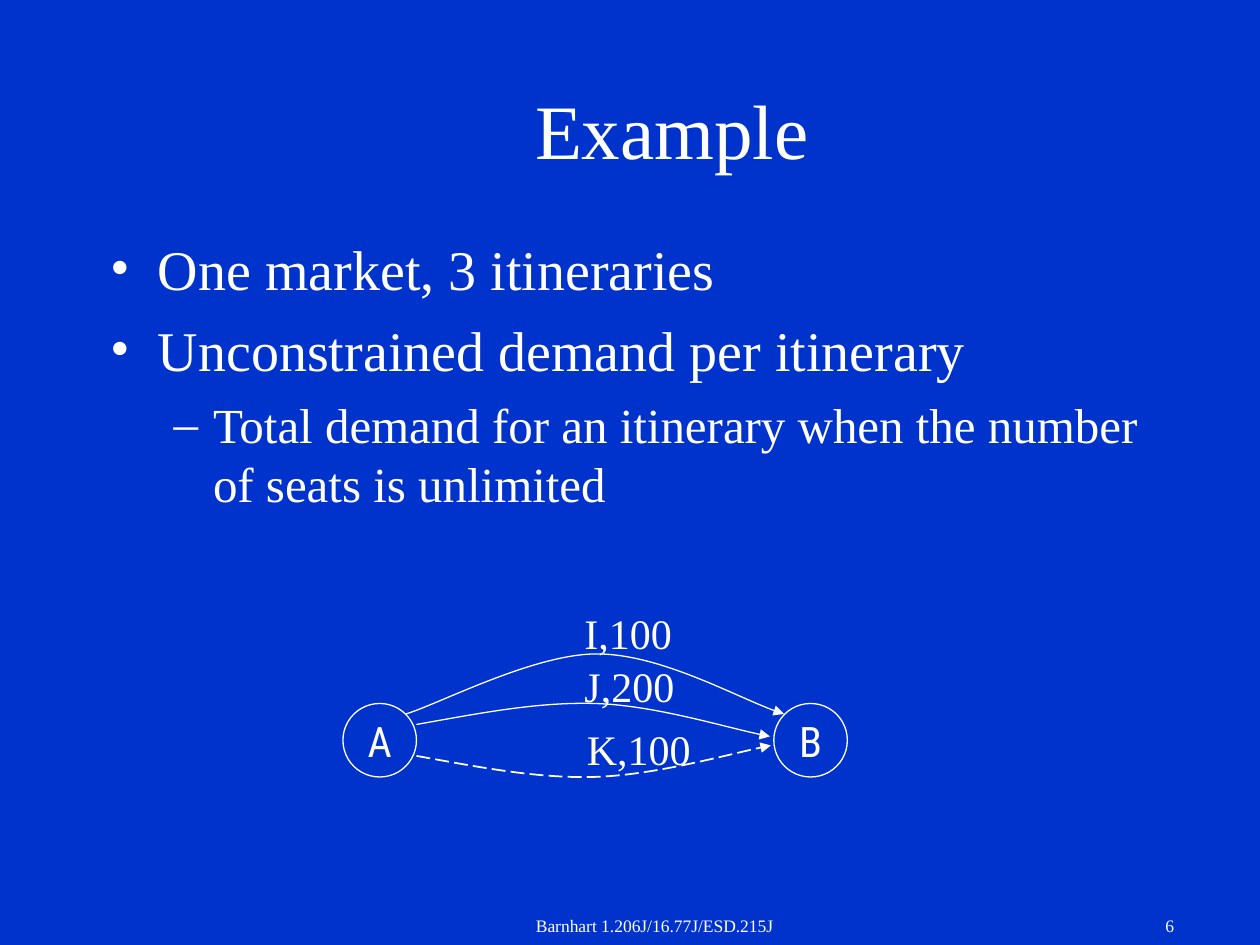
"""Build a slide showing one market served by three itineraries."""
from lxml.etree import SubElement
from pptx import Presentation
from pptx.dml.color import RGBColor
from pptx.enum.dml import MSO_LINE_DASH_STYLE as Dash
from pptx.enum.shapes import MSO_SHAPE as Shape
from pptx.enum.text import MSO_ANCHOR as Anchor, MSO_AUTO_SIZE as AutoSize, PP_ALIGN as Align
from pptx.oxml.ns import qn
from pptx.util import Pt

WHITE = "FFFFFF"
SERIF = "Times New Roman"


def color(value):
    return RGBColor.from_string(value)


def write(para, text, size, align=Align.LEFT, face=SERIF):
    para.text = text
    para.alignment = align
    para.font.size = Pt(size)
    para.font.name = face
    para.font.color.rgb = color(WHITE)


deck = Presentation()
deck.slide_width, deck.slide_height = Pt(720), Pt(540)
page = deck.slides.add_slide(deck.slide_layouts[6])
page.background.fill.solid()
page.background.fill.fore_color.rgb = color("0033CC")

for name, left in (("A", 196), ("B", 442.2)):
    city = page.shapes.add_shape(Shape.OVAL, Pt(left), Pt(402), Pt(42), Pt(42))
    city.shadow.inherit = False
    city.fill.background()
    city.line.color.rgb = color(WHITE)
    city.line.width = Pt(0.75)
    city.text_frame.word_wrap = False
    city.text_frame.vertical_anchor = Anchor.MIDDLE
    write(city.text_frame.paragraphs[0], name, 24, Align.CENTER, "Roboto Condensed")

itineraries = [
    ((232, 408), [(250.5, 402.5), (305, 373.7), (341, 373.7),
                  (377, 373.7), (425.5, 401), (448, 408)], 0.75, Dash.SOLID),
    ((238, 414), [(272, 408), (306.5, 401), (340, 402),
                  (373.5, 403), (419, 417), (440, 420.8)], 0.75, Dash.SOLID),
    ((238, 432), [(272, 438), (306, 445), (340, 444),
                  (373.5, 443), (420, 430), (440.5, 426)], 1, Dash.LONG_DASH),
]
for start, points, width, dash in itineraries:
    builder = page.shapes.build_freeform(Pt(start[0]), Pt(start[1]))
    builder.add_line_segments([(Pt(x), Pt(y)) for x, y in points], close=False)
    curve = builder.convert_to_shape()
    curve.shadow.inherit = False
    curve.fill.background()
    curve.line.color.rgb = color(WHITE)
    curve.line.width = Pt(width)
    curve.line.dash_style = dash
    outline = curve.element.spPr.find(qn("a:ln"))
    SubElement(outline, qn("a:tailEnd"), type="triangle")
    segments = list(curve.element.spPr.iter(qn("a:lnTo")))
    route = segments[0].getparent()
    for first in range(0, len(segments), 3):
        bezier = SubElement(route, qn("a:cubicBezTo"))
        for segment in segments[first:first + 3]:
            bezier.append(segment[0])
            route.remove(segment)

for text, left, top, width in (
    ("I,100", 326.88, 343.44, 66),
    ("J,200", 326.88, 373.68, 67),
    ("K,100", 328.32, 409.68, 75),
):
    label = page.shapes.add_textbox(Pt(left), Pt(top), Pt(width), Pt(36))
    label.text_frame.word_wrap = False
    label.text_frame.auto_size = AutoSize.SHAPE_TO_FIT_TEXT
    write(label.text_frame.paragraphs[0], text, 24)

for text, left, top, width, height, size, align, anchor in (
    ("Example", 78, 30.24, 612, 87.12, 44, Align.CENTER, Anchor.MIDDLE),
    ("Barnhart 1.206J/16.77J/ESD.215J", 260, 519.12, 228, 20.88, 10, Align.CENTER, Anchor.TOP),
    ("6", 528, 519.12, 150, 20.88, 10, Align.RIGHT, Anchor.TOP),
):
    box = page.shapes.add_textbox(Pt(left), Pt(top), Pt(width), Pt(height))
    box.text_frame.word_wrap = True
    box.text_frame.vertical_anchor = anchor
    write(box.text_frame.paragraphs[0], text, size, align)

body = page.shapes.add_textbox(Pt(56.16), Pt(130.32), Pt(612), Pt(324)).text_frame
body.word_wrap = True
bullets = [
    ("One market, 3 itineraries", 0, 32, 8, "•", 27, -27),
    ("Unconstrained demand per itinerary", 0, 32, 8, "•", 27, -27),
    ("Total demand for an itinerary when the number of seats is unlimited",
     1, 28, 7, "–", 58.5, -22.5),
]
for index, (text, level, size, before, mark, margin, indent) in enumerate(bullets):
    para = body.add_paragraph() if index else body.paragraphs[0]
    write(para, text, size)
    para.level = level
    para.space_before = Pt(before)
    props = para._p.get_or_add_pPr()
    props.set("marL", str(Pt(margin)))
    props.set("indent", str(Pt(indent)))
    defaults = props.find(qn("a:defRPr"))
    for tag, settings in (("a:buFont", {"typeface": SERIF}), ("a:buChar", {"char": mark})):
        defaults.addprevious(props.makeelement(qn(tag), settings))

deck.save("out.pptx")
